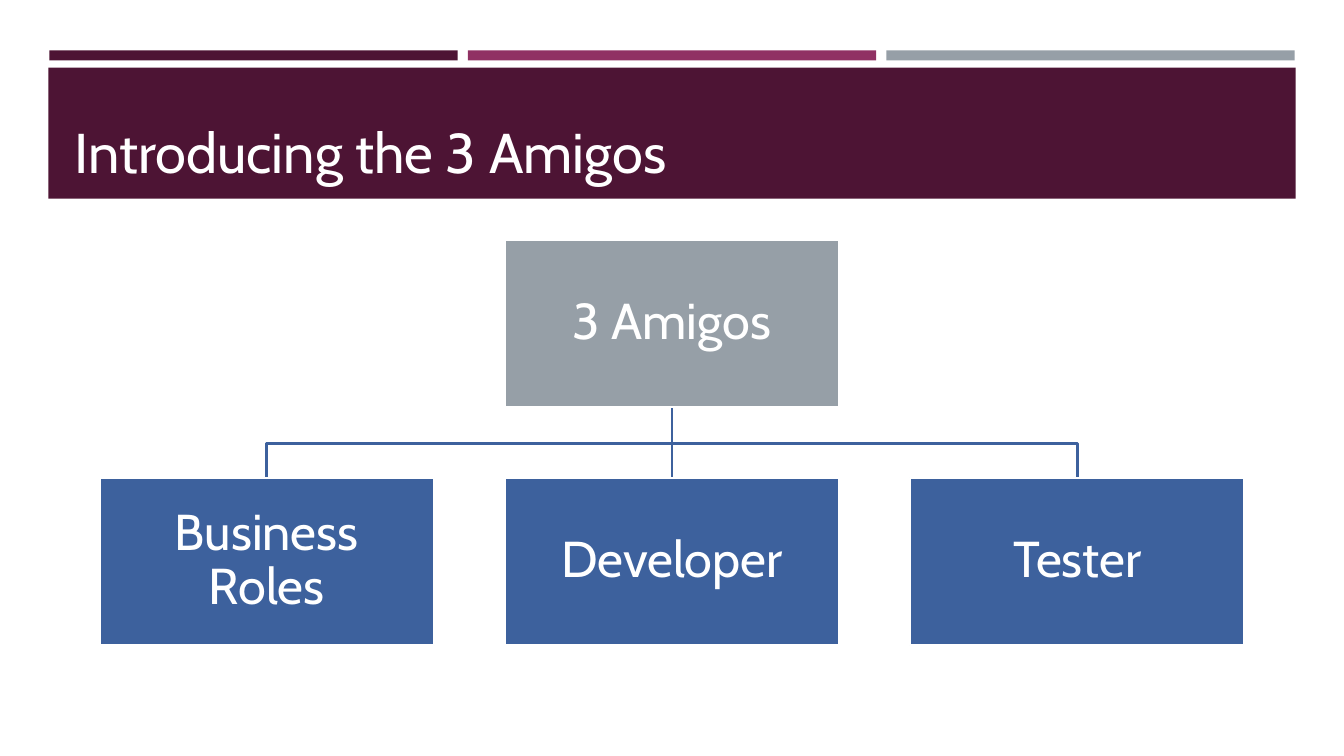
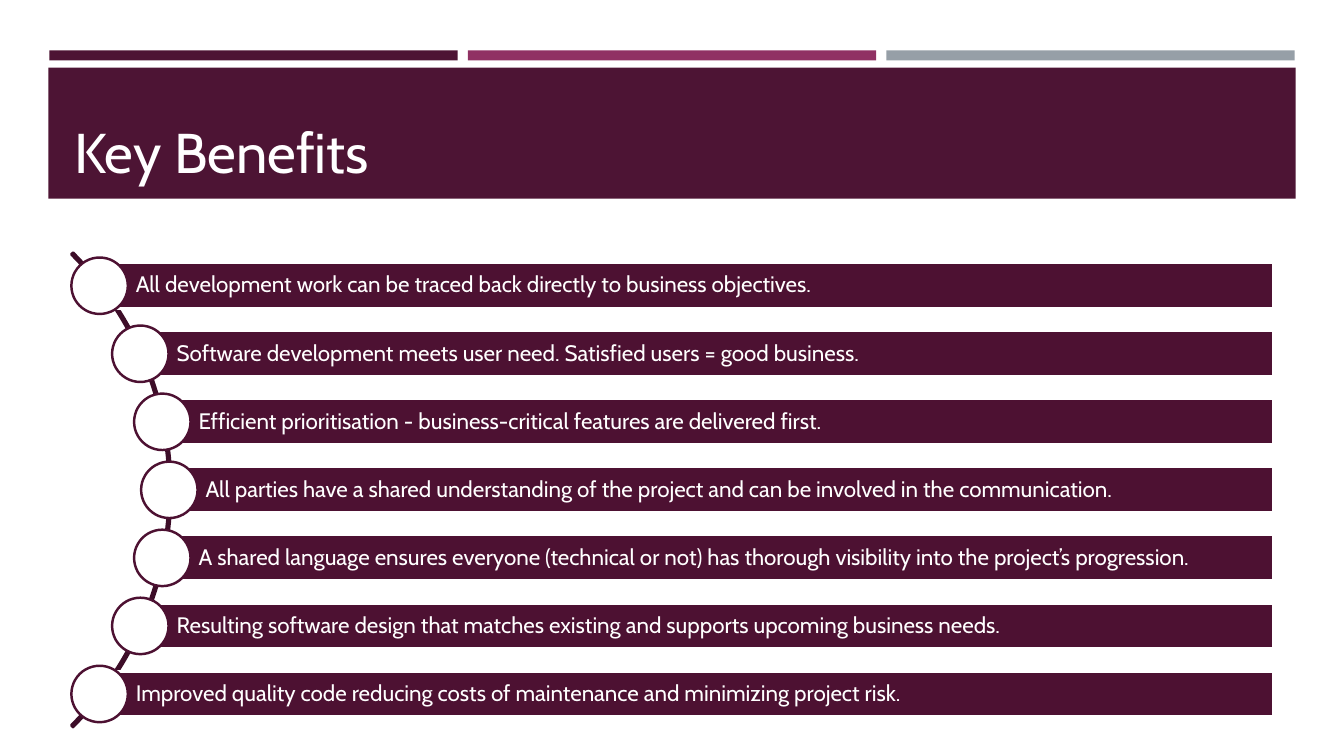
from math import sqrt

from lxml import etree
from pptx import Presentation
from pptx.dml.color import RGBColor
from pptx.enum.shapes import MSO_CONNECTOR, MSO_SHAPE
from pptx.enum.text import MSO_ANCHOR, PP_ALIGN
from pptx.oxml.ns import qn
from pptx.util import Inches, Pt

RECTANGLE = MSO_SHAPE.RECTANGLE
OVAL = MSO_SHAPE.OVAL
BLOCK_ARC = MSO_SHAPE.BLOCK_ARC
STRAIGHT = MSO_CONNECTOR.STRAIGHT
LEFT, CENTER = PP_ALIGN.LEFT, PP_ALIGN.CENTER
MIDDLE, BOTTOM = MSO_ANCHOR.MIDDLE, MSO_ANCHOR.BOTTOM

SLIDE_WIDTH, SLIDE_HEIGHT = 13.33, 7.5
TITLE_ONLY = 5
FONT = "Cabin"
LINE_WIDTH = 1.75

WHITE = "FFFFFF"
PLUM = "4D1434"
MAGENTA = "903163"
GREY = "969FA7"
BLUE = "3D619D"
BAR_PLUM = "4D1132"
ARC_PLUM = "3D0D28"

# Organisation chart
BOX_WIDTH, BOX_HEIGHT = 3.32, 1.66
COLUMN_STEP = 4.02
PARENT_TOP, CHILD_TOP = 2.38, 4.74
LINK_TOP, LINK_BOTTOM = 4.05, 4.75
HANGING_INDENT = -0.34
ROLES = ["Business\vRoles", "Developer", "Tester"]

# Curved list
ARC_CENTER_X, ARC_CENTER_Y, ARC_RADIUS = -1.63, 4.86, 3.33
DOT_RADIUS_ON_ARC = 3.31
DOT_SIZE, BAR_HEIGHT, BAR_RIGHT = 0.56, 0.45, 12.63
ROW_STEP = 0.675
BENEFITS = [
    "All development work can be traced back directly to business objectives.",
    "Software development meets user need. Satisfied users = good business.",
    "Efficient prioritisation - business-critical features are delivered first.",
    "All parties have a shared understanding of the project and can be involved in the communication.",
    "A shared language ensures everyone (technical or not) has thorough visibility into the project’s progression.",
    "Resulting software design that matches existing and supports upcoming business needs.",
    "Improved quality code reducing costs of maintenance and minimizing project risk.",
]


def color(hex_text):
    """Return the colour for a hex string."""
    return RGBColor.from_string(hex_text)


def style(shape, fill=None, line=None):
    """Set fill and outline, and remove the shadow."""
    shape.shadow.inherit = False
    if fill:
        shape.fill.solid()
        shape.fill.fore_color.rgb = color(fill)
    else:
        shape.fill.background()
    if line:
        shape.line.color.rgb = color(line)
        shape.line.width = Pt(LINE_WIDTH)
    else:
        shape.line.fill.background()


def add_shape(slide, kind, left, top, width, height, fill=None, line=None):
    """Add a preset shape measured in inches."""
    shape = slide.shapes.add_shape(
        kind, Inches(left), Inches(top), Inches(width), Inches(height))
    style(shape, fill, line)
    return shape


def set_text(shape, text, size, alignment, anchor, insets, spacing=None):
    """Write white text; insets run left, top, right, bottom."""
    frame = shape.text_frame
    frame.word_wrap = True
    frame.vertical_anchor = anchor
    (frame.margin_left, frame.margin_top,
     frame.margin_right, frame.margin_bottom) = map(Inches, insets)
    frame.text = text
    paragraph = frame.paragraphs[0]
    paragraph.alignment = alignment
    paragraph.line_spacing = spacing
    paragraph.font.name = FONT
    paragraph.font.size = Pt(size)
    paragraph.font.color.rgb = color(WHITE)
    return paragraph


def add_layout_bands(slide):
    """Draw the header bands and move them behind the layout's placeholders."""
    bands = [add_shape(slide, RECTANGLE, 0.49 + column * 4.15, 0.5, 4.05, 0.1, fill)
             for column, fill in enumerate([PLUM, MAGENTA, GREY])]
    bands.append(add_shape(slide, RECTANGLE, 0.48, 0.67, 12.37, 1.3, PLUM))
    layout_tree = slide.slide_layout.shapes.element
    for position, band in enumerate(bands, start=2):
        layout_tree.insert(position, band.element)


def add_title_slide(presentation, text):
    """Add a slide with its title placed on the header band."""
    slide = presentation.slides.add_slide(presentation.slide_layouts[TITLE_ONLY])
    title = slide.shapes.title
    title.left, title.top = Inches(0.64), Inches(0.77)
    title.width, title.height = Inches(12.06), Inches(1.11)
    set_text(title, text, 40, LEFT, BOTTOM, (0.1, 0.05, 0.1, 0.05))
    return slide


def add_box(slide, center, top, text, fill):
    """Add one box of the organisation chart."""
    box = add_shape(slide, RECTANGLE, center - BOX_WIDTH / 2, top,
                    BOX_WIDTH, BOX_HEIGHT, fill, WHITE)
    return set_text(box, text, 36, CENTER, MIDDLE, (0.02,) * 4, 0.9)


def add_straight_link(slide, center):
    """Join the parent to the child straight below it."""
    link = slide.shapes.add_connector(
        STRAIGHT, Inches(center), Inches(LINK_TOP), Inches(center), Inches(LINK_BOTTOM))
    link.line.color.rgb = color(BLUE)
    link.line.width = Pt(LINE_WIDTH)
    etree.SubElement(link.element.spPr, qn("a:effectLst"))


def add_bent_link(slide, start, end):
    """Join the parent to a child at one side with a stepped line."""
    middle = (LINK_TOP + LINK_BOTTOM) / 2
    builder = slide.shapes.build_freeform(Inches(start), Inches(LINK_TOP))
    corners = [(start, middle), (end, middle), (end, LINK_BOTTOM)]
    builder.add_line_segments(
        [(Inches(x), Inches(y)) for x, y in corners], close=False)
    style(builder.convert_to_shape(), line=BLUE)


def add_role_chart(slide):
    """Draw the parent box, its links and one box per role."""
    parent_center = SLIDE_WIDTH / 2
    centers = [parent_center + (column - 1) * COLUMN_STEP
               for column in range(len(ROLES))]
    for center in centers:
        if center == parent_center:
            add_straight_link(slide, center)
        else:
            add_bent_link(slide, parent_center, center)
    add_box(slide, parent_center, PARENT_TOP, "3 Amigos", GREY)
    paragraphs = [add_box(slide, center, CHILD_TOP, role, BLUE)
                  for center, role in zip(centers, ROLES)]
    properties = paragraphs[0]._p.get_or_add_pPr()
    properties.set("marL", "0")
    properties.set("indent", str(Inches(HANGING_INDENT)))


def add_benefit(slide, center_x, center_y, text):
    """Add a text bar with a round marker on its left end."""
    bar = add_shape(slide, RECTANGLE, center_x, center_y - BAR_HEIGHT / 2,
                    BAR_RIGHT - center_x, BAR_HEIGHT, BAR_PLUM, WHITE)
    set_text(bar, text, 16, LEFT, MIDDLE, (0.36, 0.04, 0.04, 0.04), 0.9)
    add_shape(slide, OVAL, center_x - DOT_SIZE / 2, center_y - DOT_SIZE / 2,
              DOT_SIZE, DOT_SIZE, WHITE, BAR_PLUM)


def add_benefit_list(slide):
    """Set the benefits in equal rows along an arc."""
    arc = add_shape(slide, BLOCK_ARC, ARC_CENTER_X - ARC_RADIUS,
                    ARC_CENTER_Y - ARC_RADIUS, 2 * ARC_RADIUS, 2 * ARC_RADIUS,
                    line=ARC_PLUM)
    for index, value in enumerate([189, 27, 0.004]):
        arc.adjustments[index] = value
    for row, text in enumerate(BENEFITS):
        offset = (row - (len(BENEFITS) - 1) / 2) * ROW_STEP
        center_x = ARC_CENTER_X + sqrt(DOT_RADIUS_ON_ARC ** 2 - offset ** 2)
        add_benefit(slide, center_x, ARC_CENTER_Y + offset, text)


def main():
    """Build and save the presentation."""
    presentation = Presentation()
    presentation.slide_width = Inches(SLIDE_WIDTH)
    presentation.slide_height = Inches(SLIDE_HEIGHT)
    roles_slide = add_title_slide(presentation, "Introducing the 3 Amigos")
    add_layout_bands(roles_slide)
    add_role_chart(roles_slide)
    add_benefit_list(add_title_slide(presentation, "Key Benefits"))
    presentation.save("out.pptx")


main()
